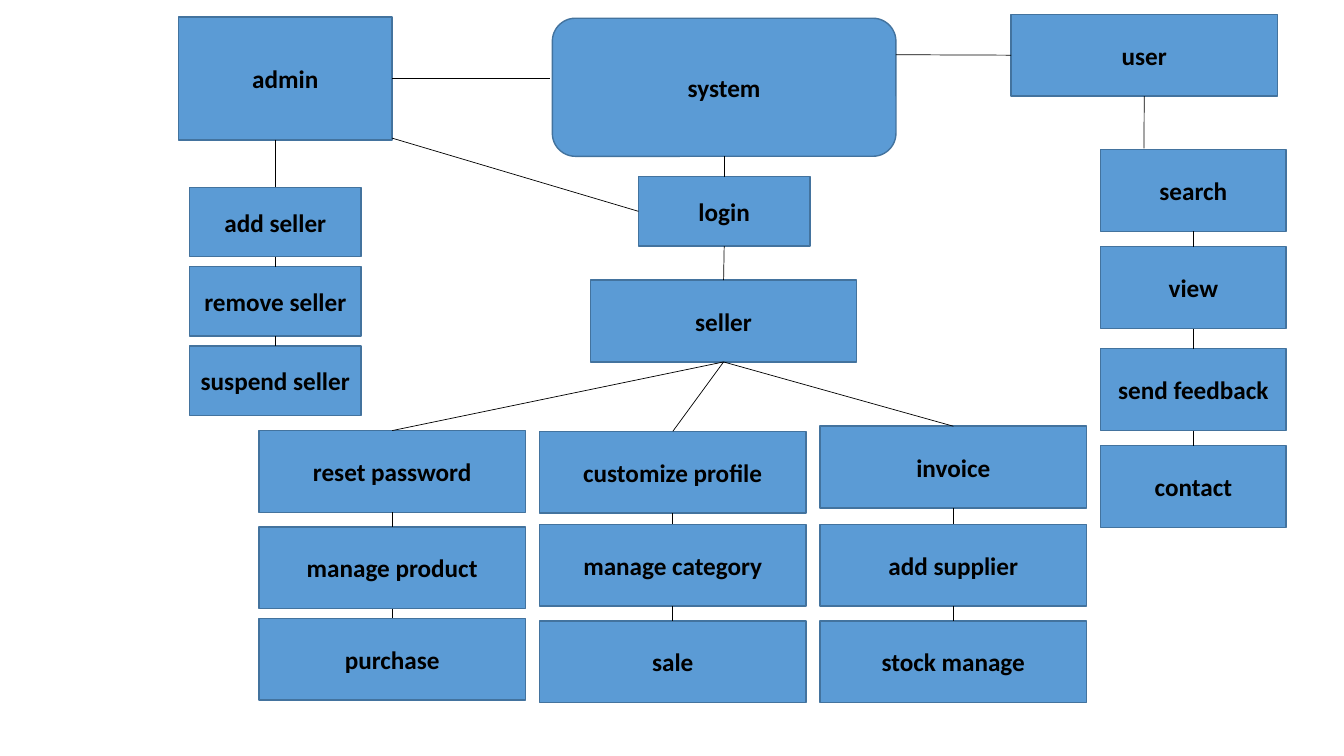
from pptx import Presentation, util as u
from pptx.dml.color import RGBColor
from pptx.enum import shapes, text
from pptx.oxml.ns import qn
from lxml import etree

TOP, LEFT, BOTTOM, RIGHT = range(4)


def rgb(value):
    return RGBColor.from_string(value)


class Diagram:
    fill, edge, ink = "5B9BD5", "43739E", "000000"
    font, size = "Calibri", 18

    def __init__(self, slide):
        self.s = slide

    def box(self, label, x, y, w, h, kind=shapes.MSO_SHAPE.RECTANGLE):
        sp = self.s.shapes.add_shape(kind, u.Cm(x), u.Cm(y), u.Cm(w), u.Cm(h))
        sp.shadow.inherit = False
        sp.fill.solid()
        sp.fill.fore_color.rgb = rgb(self.fill)
        sp.line.color.rgb = rgb(self.edge)
        sp.line.width = u.Pt(1)
        tf = sp.text_frame
        tf.text = label
        tf.word_wrap = True
        tf.vertical_anchor = text.MSO_ANCHOR.MIDDLE
        tf.margin_left = tf.margin_right = u.Cm(0.1)
        p = tf.paragraphs[0]
        p.alignment = text.PP_ALIGN.CENTER
        f = p.runs[0].font
        f.name, f.size, f.bold = self.font, u.Pt(self.size), True
        f.color.rgb = rgb(self.ink)
        return sp

    def line(self, start, end):
        ends = [(0, 0) if hasattr(e[0], "text_frame") else [u.Cm(v) for v in e]
                for e in (start, end)]
        c = self.s.shapes.add_connector(
            shapes.MSO_CONNECTOR.STRAIGHT, *ends[0], *ends[1])
        if hasattr(start[0], "text_frame"):
            c.begin_connect(*start)
        if hasattr(end[0], "text_frame"):
            c.end_connect(*end)
        c.line.color.rgb = rgb(self.ink)
        c.line.width = u.Pt(0.5)
        etree.SubElement(c._element.spPr, qn("a:effectLst"))

    def column(self, items, x, w, h):
        boxes = [self.box(label, x, y, w, h) for label, y in items]
        for upper, lower in zip(boxes, boxes[1:]):
            self.line((upper, BOTTOM), (lower, TOP))
        return boxes[0]


def main():
    prs = Presentation()
    prs.slide_width, prs.slide_height = u.Cm(33.87), u.Cm(19.05)
    d = Diagram(prs.slides.add_slide(prs.slide_layouts[6]))
    wide, tall, small_w, small_h = 6.71, 2.06, 4.32, 1.75

    system = d.box("system", 13.92, 0.46, 8.66, 3.48,
                   shapes.MSO_SHAPE.ROUNDED_RECTANGLE)
    login = d.box("login", 16.09, 4.45, small_w, small_h)
    admin = d.box("admin", 4.5, 0.43, 5.38, 3.1)
    seller = d.box("seller", 14.88, 7.06, wide, tall)
    user = d.box("user", 25.48, 0.36, wide, tall)

    seller_tasks = [
        [("reset password", 10.85), ("manage product", 13.28), ("purchase", 15.58)],
        [("customize profile", 10.87), ("manage category", 13.21), ("sale", 15.65)],
        [("invoice", 10.74), ("add supplier", 13.21), ("stock manage", 15.65)],
    ]
    for i, tasks in enumerate(seller_tasks):
        first = d.column(tasks, 6.53 + 7.07 * i, wide, tall)
        d.line((seller, BOTTOM), (first, TOP))

    d.column([("search", 3.77), ("view", 6.22), ("send feedback", 8.79),
              ("contact", 11.23)], 27.74, 4.67, tall)
    names = ["add seller", "remove seller", "suspend seller"]
    add_seller = d.column([(name, 4.72 + 2 * i) for i, name in enumerate(names)],
                          4.78, small_w, small_h)

    d.line((system, BOTTOM), (login, TOP))
    d.line((login, BOTTOM), (seller, TOP))
    d.line((admin, RIGHT), (13.87, 1.98))
    d.line((22.58, 1.38), (user, LEFT))
    d.line((user, BOTTOM), (28.83, 3.74))
    d.line((6.94, 3.52), (add_seller, TOP))
    d.line((9.88, 3.48), (login, LEFT))

    prs.save("out.pptx")


if __name__ == "__main__":
    main()
